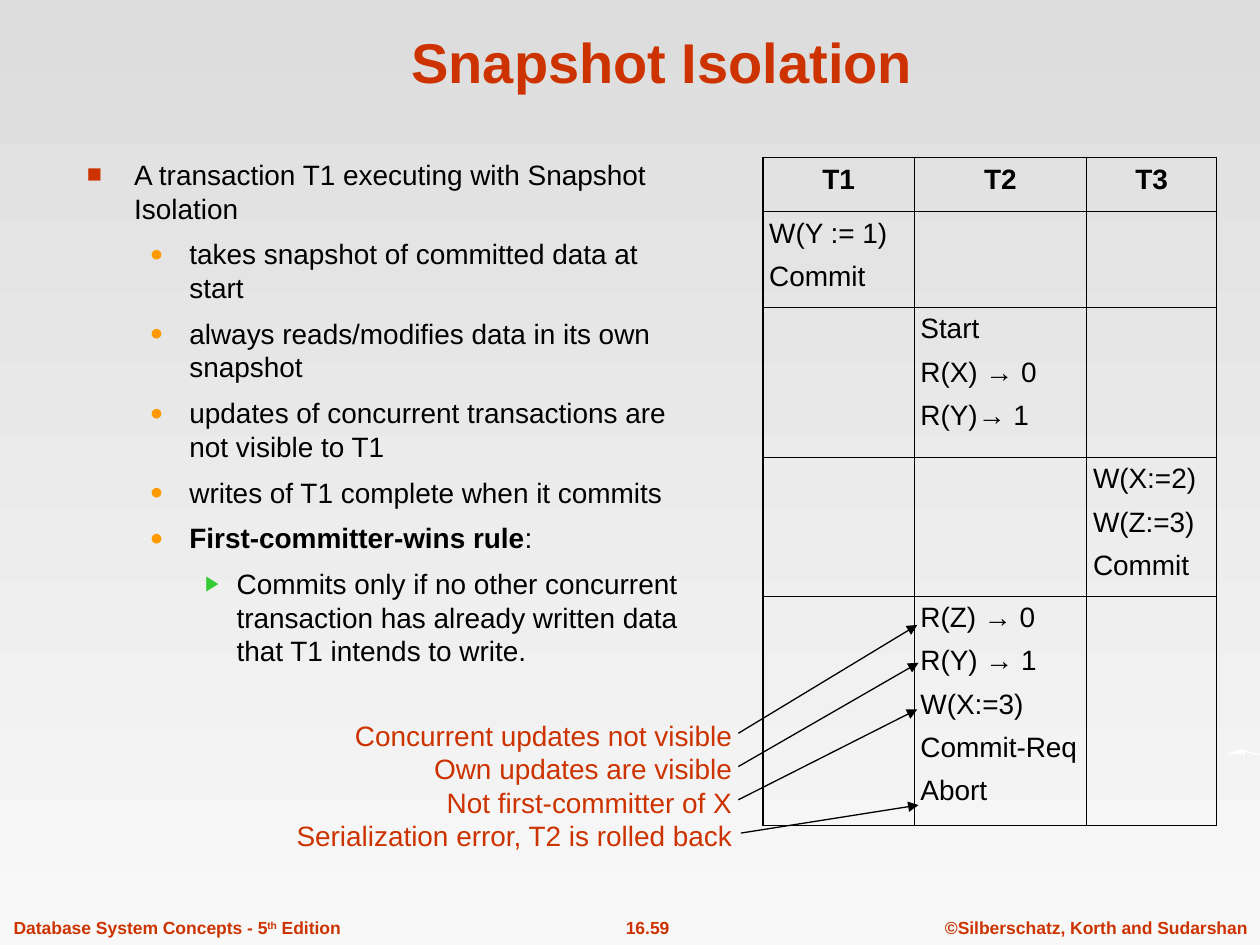
from dataclasses import dataclass

from lxml.etree import SubElement
from pptx import Presentation
from pptx.dml.color import RGBColor
from pptx.enum.shapes import MSO_CONNECTOR
from pptx.enum.text import MSO_ANCHOR, MSO_AUTO_SIZE, PP_ALIGN
from pptx.oxml.ns import qn
from pptx.util import Inches, Pt

SLIDE_WIDTH, SLIDE_HEIGHT = Inches(10), Inches(7.5)
COLUMN, ROW = SLIDE_WIDTH / 100, SLIDE_HEIGHT / 75
FONT = "Arial"
RED = RGBColor(0xCC, 0x33, 0x00)
ORANGE = RGBColor(0xFF, 0x99, 0x00)
GREEN = RGBColor(0x33, 0xCC, 0x33)
BLACK = RGBColor(0x00, 0x00, 0x00)
WHITE = RGBColor(0xFF, 0xFF, 0xFF)
SKY_TOP = RGBColor(0xDD, 0xDD, 0xDD)
SKY_BOTTOM = RGBColor(0xF8, 0xF8, 0xF8)
THIN, THICK = Pt(0.45), Pt(1.08)

BULLETS = [
    ("■", RED, 90, 3.75, 3.75),
    ("●", ORANGE, 80, 8.13, 3.13),
    ("▶", GREEN, 75, 11.88, 2.5),
]
POINTS = [
    (0, [("A transaction T1 executing with Snapshot Isolation", False)]),
    (1, [("takes snapshot of committed data at start", False)]),
    (1, [("always reads/modifies data in its own snapshot", False)]),
    (1, [("updates of concurrent transactions are not visible to T1", False)]),
    (1, [("writes of T1 complete when it commits", False)]),
    (1, [("First-committer-wins rule", True), (":", False)]),
    (2, [("Commits only if no other concurrent transaction has already "
          "written data that T1 intends to write.", False)]),
]
COLUMN_WIDTHS = [12, 13.7, 10.3]
ROW_HEIGHTS = [4.3, 7.6, 11.9, 11, 18.2]
SCHEDULE = {
    (0, 0): ["T1"],
    (0, 1): ["T2"],
    (0, 2): ["T3"],
    (1, 0): ["W(Y := 1)", "Commit"],
    (2, 1): ["Start", "R(X) → 0", "R(Y)→ 1"],
    (3, 2): ["W(X:=2)", "W(Z:=3)", "Commit"],
    (4, 1): ["R(Z) → 0", "R(Y) → 1", "W(X:=3)", "Commit-Req", "Abort"],
}
CALLOUTS = [
    ("Concurrent updates not visible", 36.2, 50.4, -6.9),
    ("Own updates are visible", 36.2, 50.5, -3.9),
    ("Not first-committer of X", 36.2, 50.4, -0.2),
    ("Serialization error, T2 is rolled back", 36.4, 50.5, 7.4),
]
SWOOSH = [
    (0, 0.6), (0.1, 0.3), (0.3, 0.2), (0.5, 0.1), (0.8, 0), (1.2, 0),
    (1.5, 0.1), (1.9, 0.2), (2.3, 0.3), (2.5, 0.3), (2.4, 0.4), (2.1, 0.4),
    (1.7, 0.3), (1.3, 0.2), (1.3, 0.5), (1, 0.2), (1, 0.5), (0.7, 0.2),
    (0.8, 0.5), (0.5, 0.3), (0.2, 0.4), (0.1, 0.6),
]


@dataclass
class Box:
    """A region in grid columns and rows."""

    left: float
    top: float
    width: float
    height: float

    def point(self, across, down):
        """Return the slide position of an offset inside the box."""
        return round((self.left + across) * COLUMN), round((self.top + down) * ROW)

    def frame(self):
        """Return left, top, width and height as slide lengths."""
        return (*self.point(0, 0), round(self.width * COLUMN), round(self.height * ROW))


def add_run(paragraph, text, size, color, bold=False):
    """Append one formatted run and return it."""
    run = paragraph.add_run()
    run.text = text
    run.font.name, run.font.size = FONT, Pt(size)
    run.font.bold, run.font.color.rgb = bold, color
    return run


def next_paragraph(text_frame, index):
    """Return the first paragraph, or a new one after it."""
    return text_frame.add_paragraph() if index else text_frame.paragraphs[0]


def place(shape, box):
    """Move a placeholder into a box."""
    shape.left, shape.top, shape.width, shape.height = box.frame()
    shape.text_frame.auto_size = MSO_AUTO_SIZE.NONE


def add_label(slide, box):
    """Add an unwrapped text box and return its text frame."""
    text_frame = slide.shapes.add_textbox(*box.frame()).text_frame
    text_frame.word_wrap = False
    text_frame.auto_size = MSO_AUTO_SIZE.SHAPE_TO_FIT_TEXT
    return text_frame


def set_bullet(paragraph, level):
    """Give a paragraph the bullet and indent of its level."""
    symbol, color, percent, margin, hanging = BULLETS[level]
    paragraph.level = level
    properties = paragraph._p.get_or_add_pPr()
    properties.set("marL", str(round(margin * COLUMN)))
    properties.set("indent", str(-round(hanging * COLUMN)))
    bullet_color = SubElement(properties, qn("a:buClr"))
    SubElement(bullet_color, qn("a:srgbClr"), val=str(color))
    SubElement(properties, qn("a:buSzPct"), val=str(percent * 1000))
    SubElement(properties, qn("a:buFont"), typeface=FONT)
    SubElement(properties, qn("a:buChar"), char=symbol)


def fill_background(slide):
    """Shade the slide from top to bottom."""
    fill = slide.background.fill
    fill.gradient()
    fill.gradient_angle = 270
    for stop, color in zip(fill.gradient_stops, (SKY_TOP, SKY_BOTTOM)):
        stop.color.rgb = color


def fill_title(shape, box):
    """Write the slide title."""
    place(shape, box)
    shape.text_frame.vertical_anchor = MSO_ANCHOR.BOTTOM
    paragraph = shape.text_frame.paragraphs[0]
    paragraph.alignment = PP_ALIGN.CENTER
    add_run(paragraph, "Snapshot Isolation", 32, RED, True)


def fill_body(shape, box):
    """Write the bulleted list."""
    place(shape, box)
    for index, (level, runs) in enumerate(POINTS):
        paragraph = next_paragraph(shape.text_frame, index)
        paragraph.space_before = Pt(7)
        set_bullet(paragraph, level)
        for text, bold in runs:
            add_run(paragraph, text, 16, BLACK, bold)


def set_borders(cell, widths):
    """Draw the left, right, top and bottom borders of a cell."""
    properties = cell._tc.get_or_add_tcPr()
    for side, width in zip(("lnL", "lnR", "lnT", "lnB"), widths):
        line = SubElement(properties, qn(f"a:{side}"), w=str(width))
        SubElement(SubElement(line, qn("a:solidFill")), qn("a:srgbClr"), val=str(BLACK))


def add_schedule(slide, box):
    """Add the table of the three transactions."""
    last_row, last_column = len(ROW_HEIGHTS) - 1, len(COLUMN_WIDTHS) - 1
    table = slide.shapes.add_table(last_row + 1, last_column + 1, *box.frame()).table
    table.first_row = table.horz_banding = False
    for column, width in zip(table.columns, COLUMN_WIDTHS):
        column.width = round(width * COLUMN)
    for row, height in zip(table.rows, ROW_HEIGHTS):
        row.height = round(height * ROW)
    for index, cell in enumerate(table.iter_cells()):
        row, column = divmod(index, last_column + 1)
        outer = (column == 0, column == last_column, row == 0, row == last_row)
        set_borders(cell, [THICK if edge else THIN for edge in outer])
        cell.fill.background()
        cell.margin_left = cell.margin_right = round(COLUMN / 2)
        cell.margin_top = cell.margin_bottom = round(ROW / 2)
        for line, text in enumerate(SCHEDULE.get((row, column), [])):
            paragraph = next_paragraph(cell.text_frame, line)
            paragraph.space_before = Pt(7)
            paragraph.alignment = PP_ALIGN.LEFT if row else PP_ALIGN.CENTER
            add_run(paragraph, text, 16, BLACK, row == 0)


def add_arrow(slide, start, end):
    """Add a thin black arrow."""
    connector = slide.shapes.add_connector(MSO_CONNECTOR.STRAIGHT, *start, *end)
    connector.line.color.rgb, connector.line.width = BLACK, Pt(0.75)
    SubElement(connector.line._get_or_add_ln(), qn("a:tailEnd"), type="triangle")
    SubElement(connector._element.spPr, qn("a:effectLst"))


def add_callouts(slide, box):
    """Add the remarks and their arrows into the schedule."""
    text_frame = add_label(slide, box)
    for index, (text, start, tip, tip_row) in enumerate(CALLOUTS):
        paragraph = next_paragraph(text_frame, index)
        paragraph.alignment = PP_ALIGN.RIGHT
        add_run(paragraph, text, 16, RED)
        add_arrow(slide, box.point(start, 1.7 + 2.64 * index), box.point(tip, tip_row))


def add_footer(slide, box, parts, alignment):
    """Add one footer text, with each odd part raised."""
    paragraph = add_label(slide, box).paragraphs[0]
    paragraph.alignment, paragraph.space_before = alignment, Pt(6.2)
    for index, text in enumerate(parts):
        run = add_run(paragraph, text, 10, RED, True)
        if index % 2:
            run.font._element.set("baseline", "30000")


def add_swoosh(slide, box):
    """Add the small white stroke at the right edge."""
    points = [box.point(*offset) for offset in SWOOSH]
    builder = slide.shapes.build_freeform(*points[0])
    builder.add_line_segments(points[1:], close=True)
    shape = builder.convert_to_shape()
    shape.shadow.inherit = False
    shape.fill.solid()
    shape.fill.fore_color.rgb = WHITE
    shape.line.fill.background()


def main():
    """Build the slide and save it."""
    presentation = Presentation()
    presentation.slide_width, presentation.slide_height = SLIDE_WIDTH, SLIDE_HEIGHT
    slide = presentation.slides.add_slide(presentation.slide_layouts[1])
    fill_background(slide)
    add_footer(slide, Box(74, 72.3, 26, 2.7), ["©Silberschatz, Korth and Sudarshan"], PP_ALIGN.CENTER)
    add_footer(slide, Box(46.1, 72.3, 10.6, 2.7), ["16.59"], PP_ALIGN.CENTER)
    add_footer(slide, Box(0.1, 72.3, 30, 2.7), ["Database System Concepts - 5", "th", " Edition"], PP_ALIGN.LEFT)
    add_swoosh(slide, Box(97.5, 59.5, 2.5, 0.5))
    fill_title(slide.shapes.title, Box(8.4, 1.3, 88.3, 6.7))
    fill_body(slide.placeholders[1], Box(5.9, 12, 49.7, 57.9))
    add_schedule(slide, Box(60.55, 12.5, 36, 53))
    add_callouts(slide, Box(22.4, 56.5, 36.7, 11.7))
    presentation.save("out.pptx")


if __name__ == "__main__":
    main()
